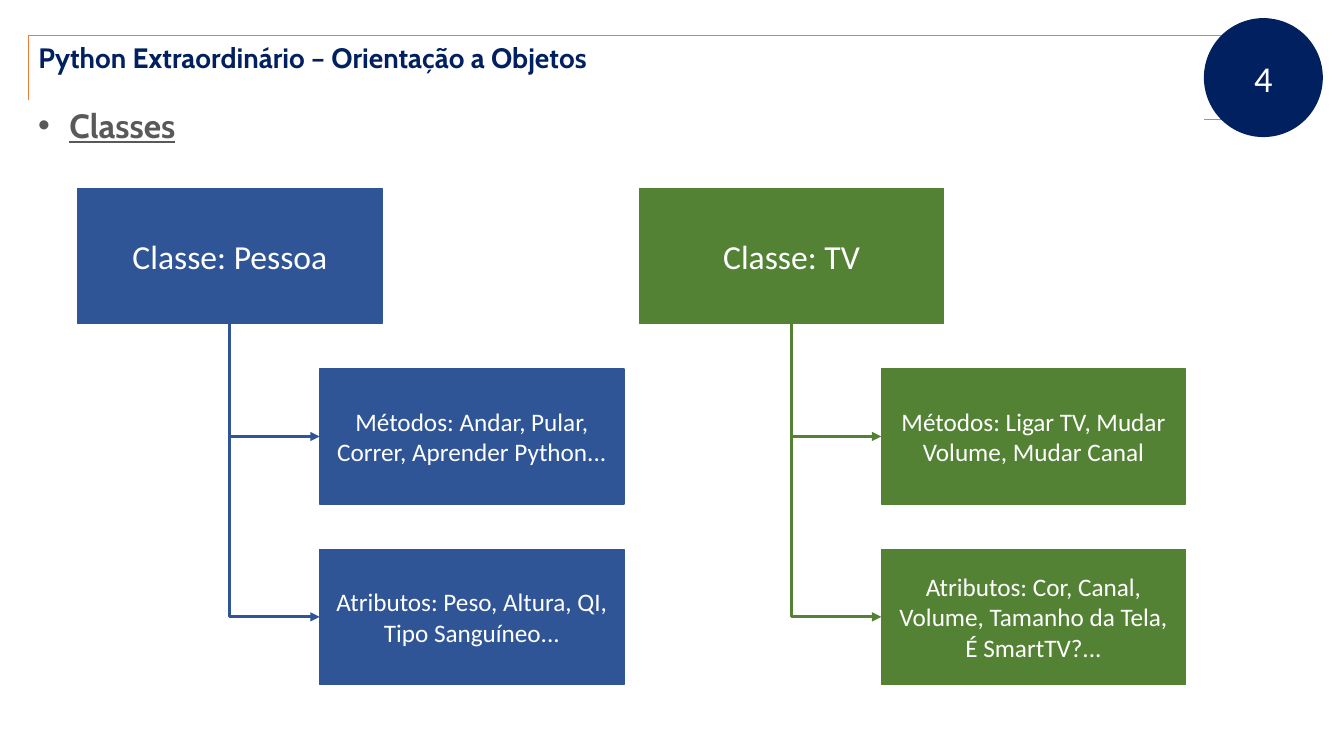
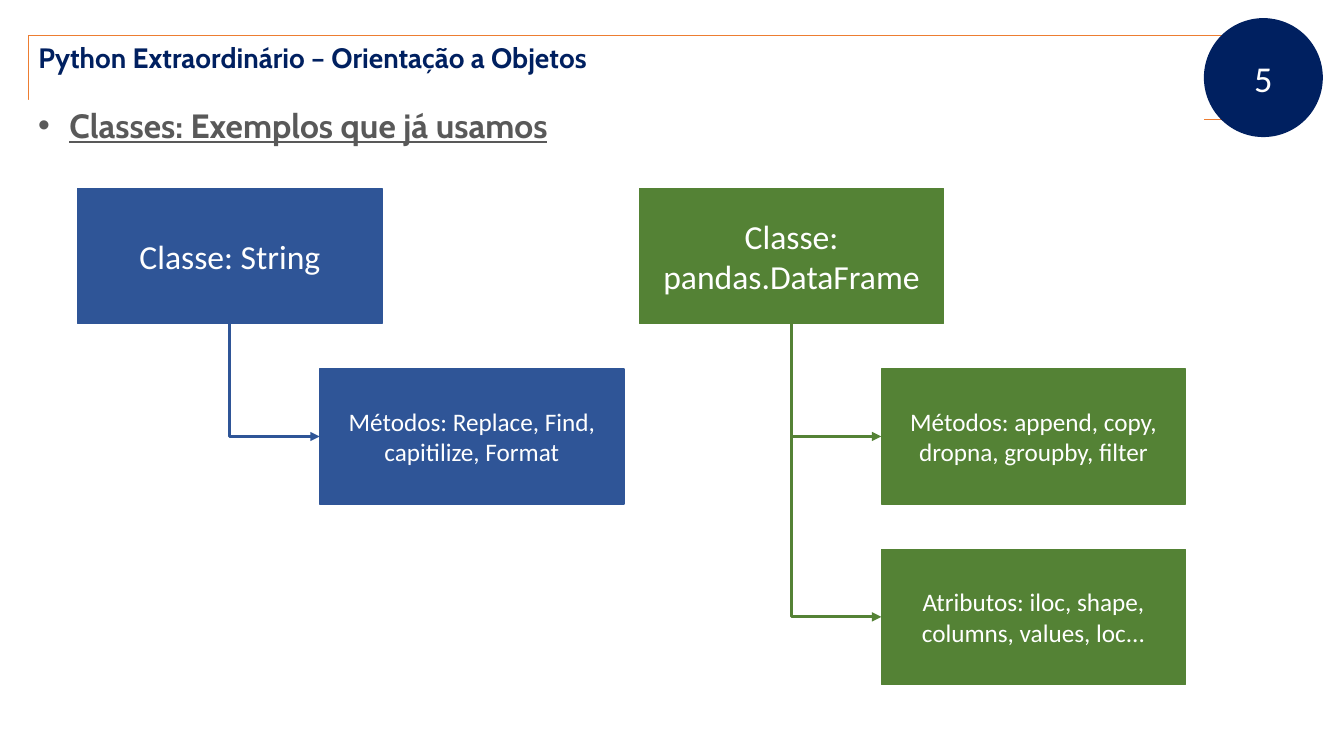
from dataclasses import dataclass

from lxml.etree import SubElement
from pptx import Presentation
from pptx.dml.color import RGBColor
from pptx.enum.shapes import MSO_CONNECTOR, MSO_SHAPE
from pptx.enum.text import MSO_ANCHOR, MSO_AUTO_SIZE, PP_ALIGN
from pptx.oxml.ns import qn
from pptx.shapes.autoshape import Shape
from pptx.slide import Slide
from pptx.util import Inches, Pt


@dataclass(frozen=True)
class Theme:
    navy: str = "002060"
    orange: str = "ED7D31"
    gray: str = "595959"
    white: str = "FFFFFF"
    blue: str = "2F5597"
    green: str = "548235"
    heading_font: str = "Cabin"
    body_font: str = "Calibri"
    title_size: float = 20
    number_size: float = 26
    large_size: float = 24
    member_size: float = 18
    box_line: float = 1
    title_line: float = 0.5
    connector_line: float = 2.25


@dataclass(frozen=True)
class ClassTree:
    name: str
    members: tuple[str, ...]


@dataclass(frozen=True)
class ClassSlide:
    number: int
    topic: str
    trees: tuple[ClassTree, ...]


THEME = Theme()
COURSE_TITLE = "Python Extraordinário – Orientação a Objetos"
TREE_COLORS = (THEME.blue, THEME.green)

TREE_LEFT = Inches(0.77)
TREE_TOP = Inches(1.87)
TREE_PITCH = Inches(5.57)
MEMBER_INDENT = Inches(2.4)
ROW_PITCH = Inches(1.79)
BOX_WIDTH = Inches(3.02)
BOX_HEIGHT = Inches(1.34)

SLIDES = (
    ClassSlide(4, "Classes", (
        ClassTree("Classe: Pessoa", (
            "Métodos: Andar, Pular, Correr, Aprender Python...",
            "Atributos: Peso, Altura, QI, Tipo Sanguíneo...",
        )),
        ClassTree("Classe: TV", (
            "Métodos: Ligar TV, Mudar Volume, Mudar Canal",
            "Atributos: Cor, Canal, Volume, Tamanho da Tela, É SmartTV?...",
        )),
    )),
    ClassSlide(5, "Classes: Exemplos que já usamos", (
        ClassTree("Classe: String", (
            "Métodos: Replace, Find, capitilize, Format",
        )),
        ClassTree("Classe: pandas.DataFrame", (
            "Métodos: append, copy, dropna, groupby, filter",
            "Atributos: iloc, shape, columns, values, loc...",
        )),
    )),
)


def write_text(shape: Shape, text: str, font_name: str, size: float, color: str,
               alignment: PP_ALIGN = PP_ALIGN.CENTER,
               anchor: MSO_ANCHOR = MSO_ANCHOR.MIDDLE,
               bold: bool = False, underline: bool = False) -> None:
    text_frame = shape.text_frame
    text_frame.text = text
    text_frame.word_wrap = True
    text_frame.vertical_anchor = anchor
    paragraph = text_frame.paragraphs[0]
    paragraph.alignment = alignment
    font = paragraph.runs[0].font
    font.name = font_name
    font.size = Pt(size)
    font.color.rgb = RGBColor.from_string(color)
    font.bold = bold
    font.underline = underline


def add_filled_shape(slide: Slide, kind: MSO_SHAPE, left: int, top: int,
                     width: int, height: int, fill: str) -> Shape:
    shape = slide.shapes.add_shape(kind, left, top, width, height)
    shape.shadow.inherit = False
    shape.fill.solid()
    shape.fill.fore_color.rgb = RGBColor.from_string(fill)
    shape.line.fill.background()
    return shape


def format_title(slide: Slide) -> None:
    title = slide.shapes.title
    title.left, title.top = Inches(0.28), Inches(0.35)
    title.width, title.height = Inches(12.46), Inches(0.44)
    title.line.color.rgb = RGBColor.from_string(THEME.orange)
    title.line.width = Pt(THEME.title_line)
    write_text(title, COURSE_TITLE, THEME.heading_font, THEME.title_size, THEME.navy,
               PP_ALIGN.LEFT, MSO_ANCHOR.TOP, bold=True)
    title.text_frame.auto_size = MSO_AUTO_SIZE.SHAPE_TO_FIT_TEXT


def add_number_badge(slide: Slide, number: int) -> None:
    badge = add_filled_shape(slide, MSO_SHAPE.OVAL, Inches(11.94), Inches(0.18),
                             Inches(1.18), Inches(1.18), THEME.navy)
    write_text(badge, str(number), THEME.body_font, THEME.number_size, THEME.white)


def add_topic(slide: Slide, topic: str) -> None:
    shape = add_filled_shape(slide, MSO_SHAPE.RECTANGLE, Inches(0.28), Inches(0.99),
                             Inches(11.66), Inches(0.5), THEME.white)
    write_text(shape, topic, THEME.heading_font, THEME.large_size, THEME.gray,
               PP_ALIGN.JUSTIFY, MSO_ANCHOR.TOP, bold=True, underline=True)
    shape.text_frame.auto_size = MSO_AUTO_SIZE.SHAPE_TO_FIT_TEXT
    indent = Inches(0.31)
    properties = shape.text_frame.paragraphs[0]._p.get_or_add_pPr()
    properties.set("marL", str(indent))
    properties.set("indent", str(-indent))
    SubElement(properties, qn("a:buFont"), typeface="Arial")
    SubElement(properties, qn("a:buChar"), char="•")


def add_box(slide: Slide, left: int, top: int, text: str, size: float, color: str) -> Shape:
    box = add_filled_shape(slide, MSO_SHAPE.RECTANGLE, left, top,
                           BOX_WIDTH, BOX_HEIGHT, color)
    box.line.color.rgb = RGBColor.from_string(color)
    box.line.width = Pt(THEME.box_line)
    write_text(box, text, THEME.body_font, size, THEME.white)
    return box


def connect_boxes(slide: Slide, parent: Shape, member: Shape, color: str) -> None:
    start_x, start_y = parent.left + parent.width // 2, parent.top + parent.height
    end_x, end_y = member.left, member.top + member.height // 2
    run, drop = end_x - start_x, end_y - start_y
    connector = slide.shapes.add_connector(MSO_CONNECTOR.ELBOW, start_x, start_y, end_x, end_y)
    connector.begin_connect(parent, 2)
    connector.end_connect(member, 1)
    connector.left = start_x + (run - drop) // 2
    connector.top = start_y + (drop - run) // 2
    connector.width, connector.height = drop, run
    connector.line.color.rgb = RGBColor.from_string(color)
    connector.line.width = Pt(THEME.connector_line)
    properties = connector._element.spPr
    transform = properties.find(qn("a:xfrm"))
    transform.set("rot", str(270 * 60000))
    transform.set("flipH", "1")
    properties.find(qn("a:prstGeom")).set("prst", "bentConnector2")
    SubElement(properties.find(qn("a:ln")), qn("a:tailEnd"), type="triangle")
    SubElement(properties, qn("a:effectLst"))


def add_class_tree(slide: Slide, tree: ClassTree, left: int, color: str) -> None:
    parent = add_box(slide, left, TREE_TOP, tree.name, THEME.large_size, color)
    for row, text in enumerate(tree.members, start=1):
        member = add_box(slide, left + MEMBER_INDENT, TREE_TOP + row * ROW_PITCH,
                         text, THEME.member_size, color)
        connect_boxes(slide, parent, member, color)


def main() -> None:
    presentation = Presentation()
    presentation.slide_width = Inches(13.33)
    presentation.slide_height = Inches(7.5)
    title_only = presentation.slide_layouts.get_by_name("Title Only")
    for content in SLIDES:
        slide = presentation.slides.add_slide(title_only)
        format_title(slide)
        add_number_badge(slide, content.number)
        add_topic(slide, content.topic)
        for column, (tree, color) in enumerate(zip(content.trees, TREE_COLORS)):
            add_class_tree(slide, tree, TREE_LEFT + column * TREE_PITCH, color)
    presentation.save("out.pptx")


if __name__ == "__main__":
    main()
